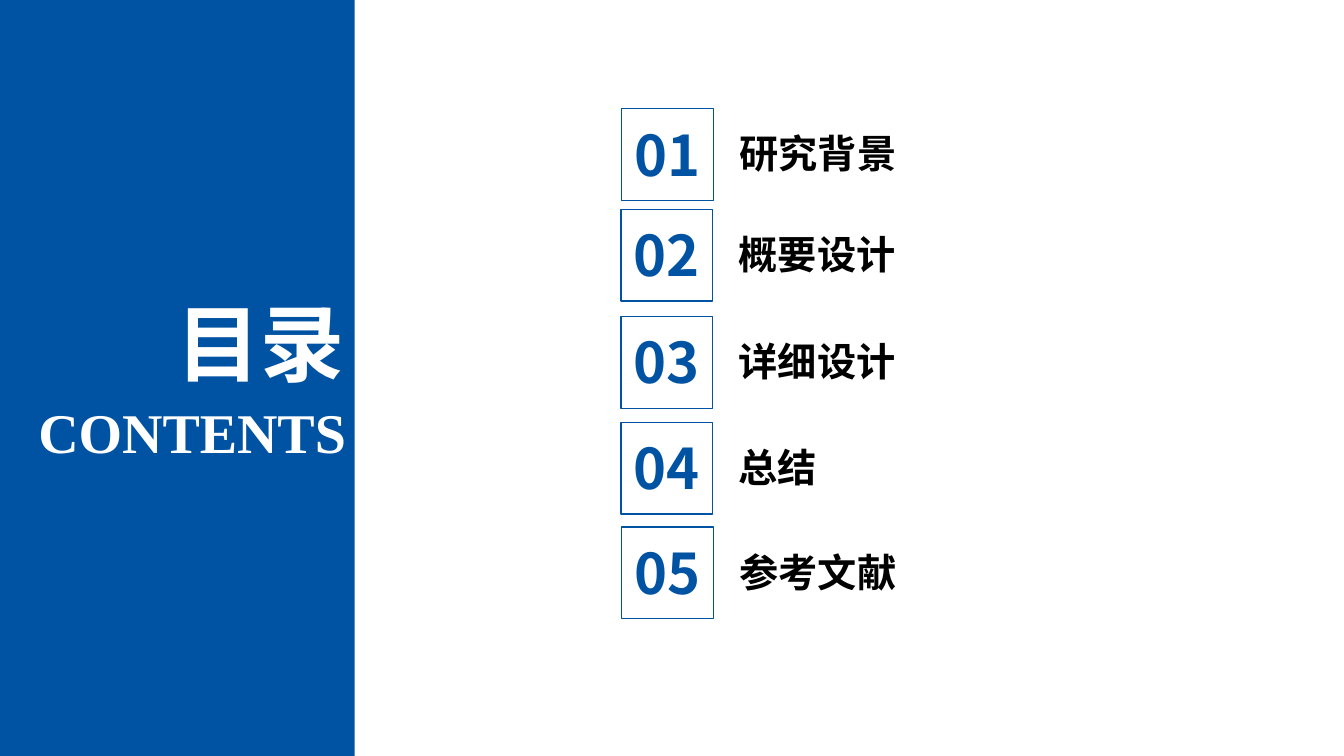
"""Build a contents slide with a blue side panel and five numbered topics."""
from lxml import etree
from pptx import Presentation
from pptx.dml.color import RGBColor
from pptx.enum.shapes import MSO_SHAPE
from pptx.enum.text import PP_ALIGN
from pptx.oxml.ns import qn
from pptx.util import Cm, Pt

RECT = MSO_SHAPE.RECTANGLE
LEFT, MID, RIGHT = PP_ALIGN.LEFT, PP_ALIGN.CENTER, PP_ALIGN.RIGHT
SANS, SERIF = "Noto Sans CJK SC", "Times New Roman"
BLUE, WHITE, BLACK = "0053A3", "FFFFFF", "000000"

TITLES = [
    ("目录", (2.49, 7.21, 6.45, 2.82), 60, SANS),
    ("CONTENTS", (0, 9.88, 8.97, 1.96), 40, SERIF),
]
TOPICS = [
    ("研究背景", 15.67, 2.74),
    ("概要设计", 15.65, 5.28),
    ("详细设计", 15.65, 7.98),
    ("总结", 15.65, 10.64),
    ("参考文献", 15.67, 13.28),
]
SIDE = 2.31


def color(code):
    return RGBColor.from_string(code)


def add_text(shapes, text, place, size, face, hue, align):
    frame = shapes.add_textbox(*map(Cm, place)).text_frame
    frame.word_wrap = True
    para = frame.paragraphs[0]
    para.text = text
    para.alignment = align
    font = para.font
    font.size, font.bold, font.name = Pt(size), True, face
    font.color.rgb = color(hue)
    props = para._p.pPr.find(qn("a:defRPr"))
    etree.SubElement(props, qn("a:ea")).set("typeface", face)


def add_rect(shapes, place):
    rect = shapes.add_shape(RECT, *map(Cm, place))
    rect.shadow.inherit = False
    return rect


def add_topic(shapes, num, name, left, top):
    group = shapes.add_group_shape().shapes
    add_text(group, name, (left + 2.72, top + 0.4, 6.65, 1.45), 28, SANS, BLACK, LEFT)
    add_text(group, f"{num:02}", (left, top + 0.16, SIDE, 1.96), 40, SANS, BLUE, MID)
    frame = add_rect(group, (left, top, SIDE, SIDE))
    frame.fill.background()
    frame.line.color.rgb = color(BLUE)
    frame.line.width = Pt(1)


def main():
    deck = Presentation()
    deck.slide_width, deck.slide_height = Cm(33.87), Cm(19.05)
    shapes = deck.slides.add_slide(deck.slide_layouts[6]).shapes
    panel = add_rect(shapes, (0, 0, 8.94, 19.05))
    panel.fill.solid()
    panel.fill.fore_color.rgb = color(BLUE)
    panel.line.fill.background()
    for text, place, size, face in TITLES:
        add_text(shapes, text, place, size, face, WHITE, RIGHT)
    for num, topic in enumerate(TOPICS, 1):
        add_topic(shapes, num, *topic)
    deck.save("out.pptx")


if __name__ == "__main__":
    main()
